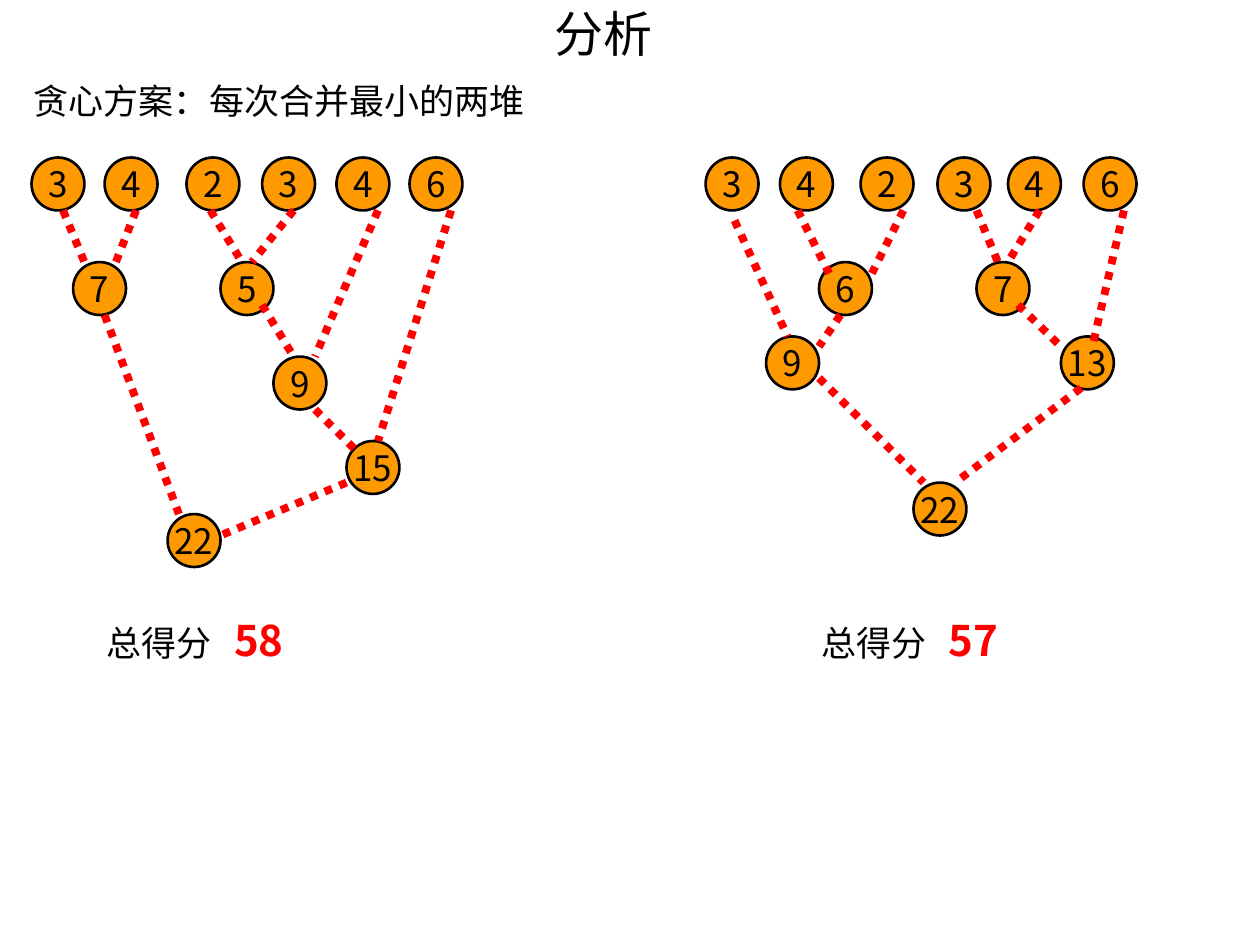
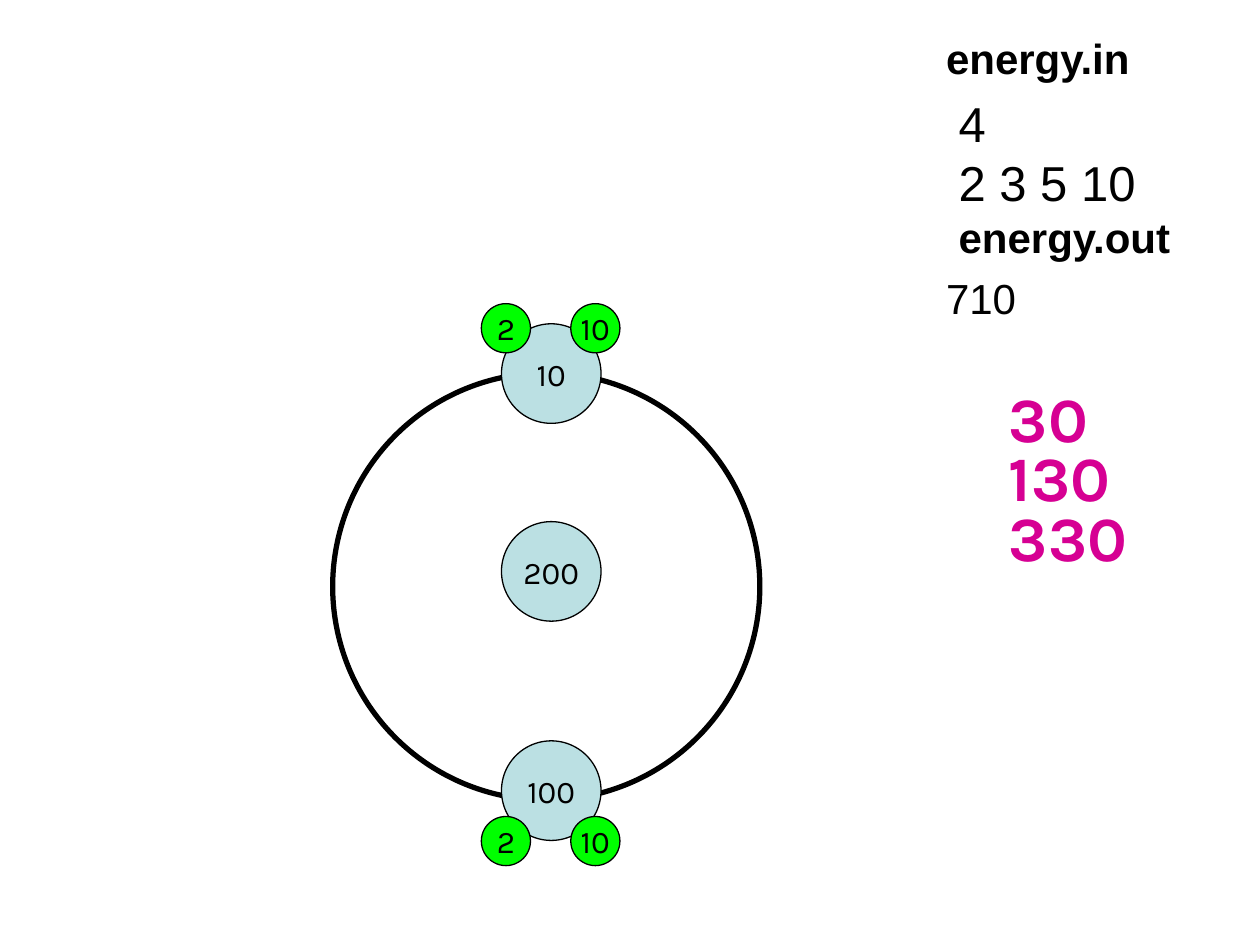
"""Two slides: merging piles by a greedy rule, and an energy necklace example."""
from dataclasses import dataclass

from lxml.etree import SubElement
from pptx import Presentation
from pptx.dml.color import RGBColor as Color
from pptx.enum.dml import MSO_LINE as Dash
from pptx.enum.shapes import MSO_CONNECTOR as Connector, MSO_SHAPE as Preset
from pptx.enum.text import MSO_ANCHOR as Anchor, PP_ALIGN as Align
from pptx.oxml.ns import qn
from pptx.util import Inches, Pt


@dataclass(frozen=True)
class TextStyle:
    size: float
    font: str
    color: str = "000000"
    bold: bool = False


@dataclass(frozen=True)
class Theme:
    ink: str = "000000"
    pile: str = "FF9900"
    branch: str = "FF0000"
    bead: str = "BBE0E3"
    mark: str = "00FF00"
    east_asian: str = "Noto Sans CJK SC"
    title: TextStyle = TextStyle(28, "Arial")
    body: TextStyle = TextStyle(20, "Arial")
    number: TextStyle = TextStyle(20, "Noto Sans CJK SC")
    score: TextStyle = TextStyle(24, "Noto Sans CJK SC", "FF0000", True)
    file_name: TextStyle = TextStyle(24, "Arial", bold=True)
    data: TextStyle = TextStyle(28, "Arial")
    result: TextStyle = TextStyle(24, "Arial")
    bead_label: TextStyle = TextStyle(18, "Karla")
    running_sum: TextStyle = TextStyle(36, "Karla", "D60093", True)


class Slides:
    def __init__(self, theme):
        self.theme = theme
        self.deck = Presentation()
        self.deck.slide_width, self.deck.slide_height = Inches(10), Inches(7.5)
        self.page = None

    def new_page(self):
        self.page = self.deck.slides.add_slide(self.deck.slide_layouts[6])

    def format_span(self, span, style):
        font = span.font
        font.size, font.bold, font.name = Pt(style.size), style.bold, style.font
        font.color.rgb = Color.from_string(style.color)
        SubElement(font._element, qn("a:ea"), typeface=self.theme.east_asian)

    def text(self, left, top, width, height, text, style, align=Align.LEFT, anchor=Anchor.TOP):
        box = self.page.shapes.add_textbox(Inches(left), Inches(top), Inches(width), Inches(height))
        box.text_frame.word_wrap = True
        box.text_frame.vertical_anchor = anchor
        para = box.text_frame.paragraphs[0]
        para.text, para.alignment = text, align
        self.format_span(para.runs[0], style)
        return box

    def add_line(self, box, text, style, space):
        para = box.text_frame.add_paragraph()
        para.text, para.space_before = text, Pt(space)
        self.format_span(para.runs[0], style)

    def indent(self, para, distance):
        para._p.get_or_add_pPr().set("marL", str(Inches(distance)))

    def score(self, left, value):
        box = self.text(left, 4.83, 2.25, 0.5, "总得分\t", self.theme.number)
        para = box.text_frame.paragraphs[0]
        tabs = SubElement(para._p.get_or_add_pPr(), qn("a:tabLst"))
        SubElement(tabs, qn("a:tab"), pos=str(Inches(1.01)), algn="l")
        span = para.add_run()
        span.text = value
        self.format_span(span, self.theme.score)

    def circle(self, left, top, size, weight, fill=None, label="", style=None):
        shape = self.page.shapes.add_shape(
            Preset.OVAL, Inches(left), Inches(top), Inches(size), Inches(size))
        shape.shadow.inherit = False
        shape.line.color.rgb = Color.from_string(self.theme.ink)
        shape.line.width = Pt(weight)
        if fill is None:
            shape.fill.background()
            return
        shape.fill.solid()
        shape.fill.fore_color.rgb = Color.from_string(fill)
        frame = shape.text_frame
        frame.text = label
        frame.word_wrap = False
        frame.vertical_anchor = Anchor.MIDDLE
        frame.paragraphs[0].alignment = Align.CENTER
        self.format_span(frame.paragraphs[0].runs[0], style)

    def branch(self, *ends):
        link = self.page.shapes.add_connector(Connector.STRAIGHT, *map(Inches, ends))
        link.line.color.rgb = Color.from_string(self.theme.branch)
        link.line.width = Pt(4.5)
        link.line.dash_style = Dash.ROUND_DOT
        SubElement(link._element.spPr, qn("a:effectLst"))

    def tree(self, leaf_lefts, merged, branches):
        leaves = [(left, 1.25, label) for left, label in zip(leaf_lefts, "342346")]
        for left, top, label in leaves + merged:
            self.circle(left, top, 0.42, 1.5, self.theme.pile, label, self.theme.number)
        for ends in branches:
            self.branch(*ends)

    def bead(self, top, label):
        self.circle(3.98, top, 0.79, 0.75, self.theme.bead, label, self.theme.bead_label)

    def marks(self, top):
        for left, label in ((4.53, "10"), (3.82, "2")):
            self.circle(left, top, 0.39, 0.75, self.theme.mark, label, self.theme.bead_label)


def analysis_page(slides):
    theme = slides.theme
    slides.new_page()
    slides.text(0.5, 0, 8.58, 0.53, "分析", theme.title, Align.CENTER, Anchor.MIDDLE)
    slides.text(0.17, 0.58, 4.5, 0.44, "贪心方案：每次合并最小的两堆", theme.body)
    slides.tree(
        (0.25, 0.83, 1.48, 2.08, 2.67, 3.25),
        [(0.58, 2.08, "7"), (1.75, 2.08, "5"), (2.17, 2.83, "9"),
         (2.75, 3.5, "15"), (1.33, 4.08, "22")],
        [(1.67, 1.67, 1.92, 2.08), (2.33, 1.67, 2, 2.08),
         (2.08, 2.42, 2.33, 2.83), (3, 1.67, 2.5, 2.83),
         (0.5, 1.67, 0.67, 2.08), (1.08, 1.67, 0.92, 2.08),
         (2.5, 3.25, 2.83, 3.58), (3.58, 1.67, 3, 3.5),
         (0.83, 2.5, 1.42, 4.08), (2.75, 3.83, 1.75, 4.25)])
    slides.tree(
        (5.6, 6.19, 6.83, 7.44, 8, 8.6),
        [(6.5, 2.08, "6"), (7.75, 2.08, "7"), (6.08, 2.67, "9"),
         (8.42, 2.67, "13"), (7.25, 3.83, "22")],
        [(6.33, 1.67, 6.58, 2.17), (7.17, 1.67, 6.92, 2.17),
         (7.75, 1.67, 7.92, 2.08), (8.25, 1.67, 8, 2.08),
         (5.83, 1.75, 6.25, 2.67), (6.67, 2.5, 6.5, 2.75),
         (8.08, 2.42, 8.42, 2.75), (8.92, 1.67, 8.67, 2.75),
         (6.5, 3, 7.33, 3.83), (8.58, 3.08, 7.58, 3.83)])
    slides.score(0.75, "58")
    slides.score(6.42, "57")


def energy_page(slides):
    theme = slides.theme
    slides.new_page()
    sample = slides.text(7.13, 0.21, 2.68, 2.6, "energy.in", theme.file_name)
    for text, style, space in (("4", theme.data, 6), ("2 3 5 10", theme.data, 0),
                               ("energy.out", theme.file_name, 0), ("710", theme.result, 6)):
        slides.add_line(sample, text, style, space)
    for para, distance in zip(sample.text_frame.paragraphs, (0.28, 0.38, 0.38, 0.38, 0.28)):
        slides.indent(para, distance)
    slides.circle(2.64, 2.96, 3.39, 3)
    for bead_top, label, marks_top in ((2.57, "10", 2.41), (5.88, "100", 6.48)):
        slides.bead(bead_top, label)
        slides.marks(marks_top)
    slides.bead(4.14, "200")
    for row, total in enumerate(("30", "130", "330")):
        slides.text(7.91, 2.96 + 0.475 * row, 1.26, 0.7, total, theme.running_sum)


def main():
    slides = Slides(Theme())
    analysis_page(slides)
    energy_page(slides)
    slides.deck.save("out.pptx")


if __name__ == "__main__":
    main()
